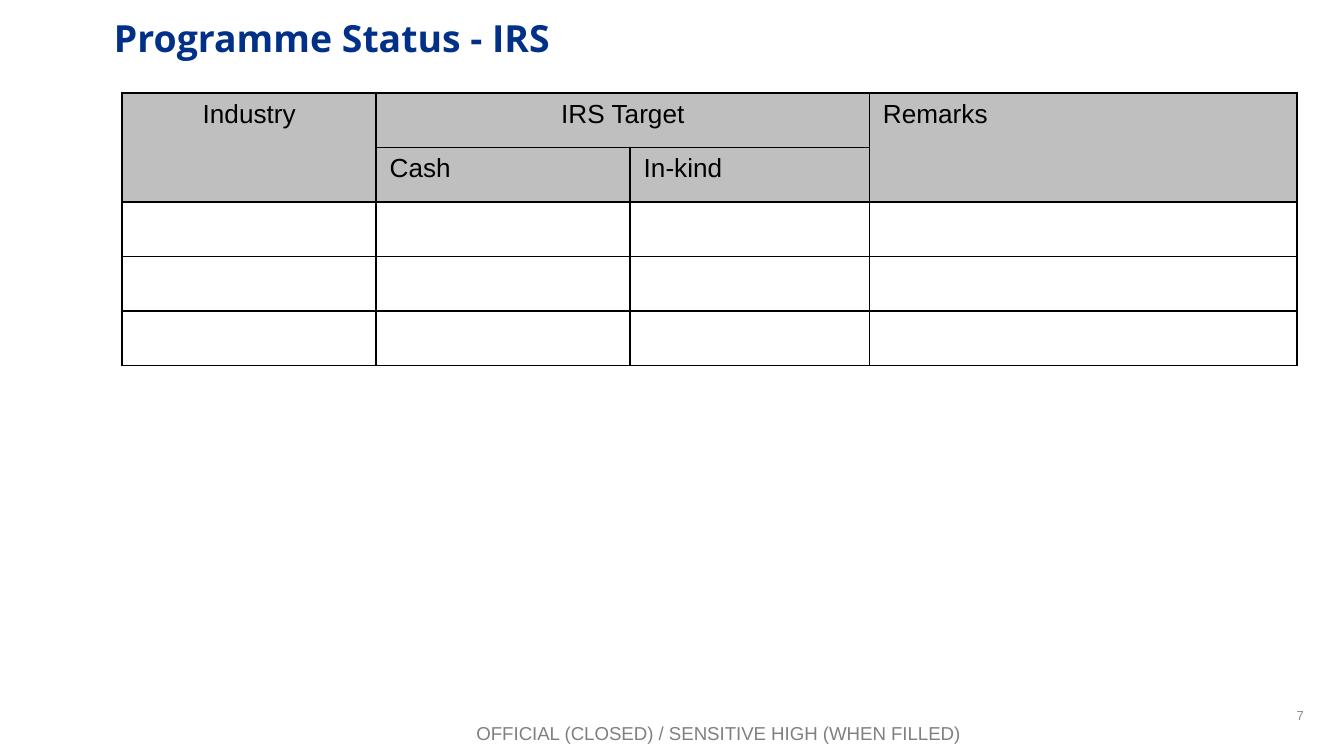
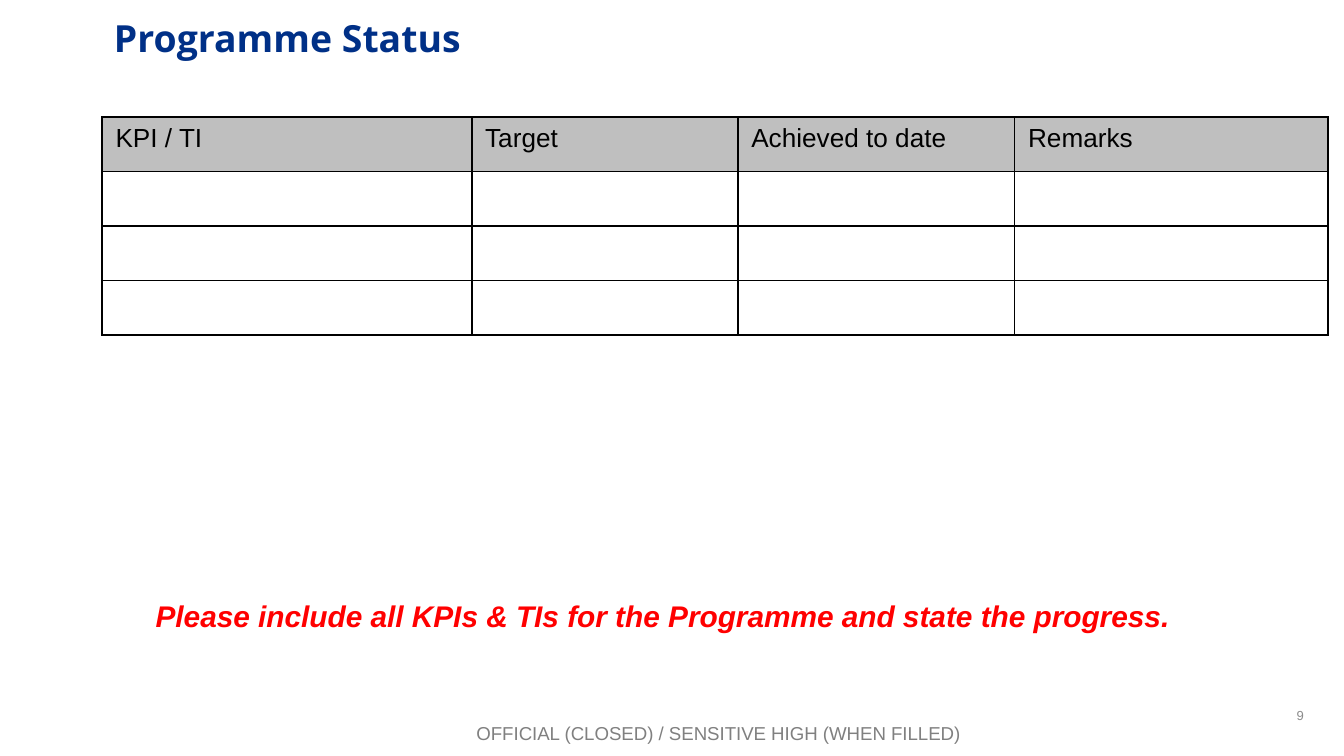
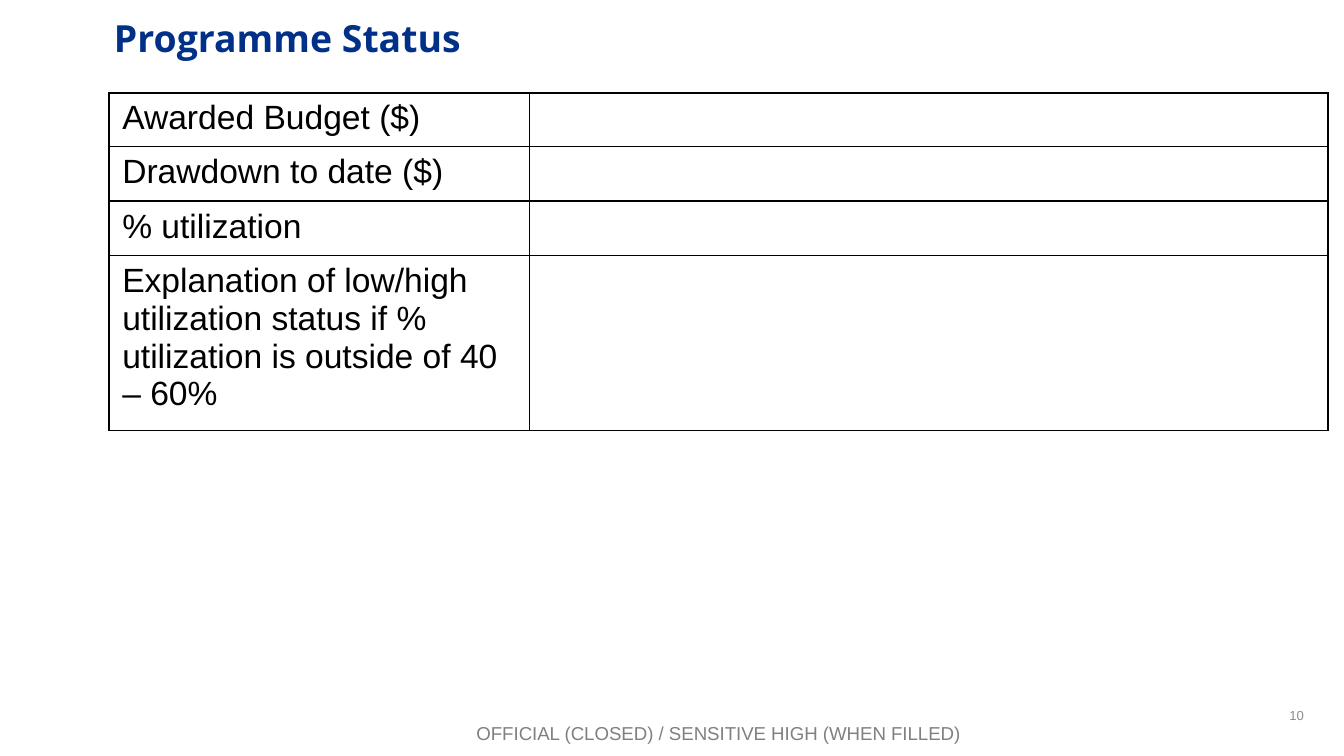
import pptx
import pptx.dml.color
import pptx.enum.text
import pptx.oxml
import pptx.oxml.ns
import pptx.util
from dataclasses import dataclass
from typing import Any, Optional

Inches = pptx.util.Inches
Pt = pptx.util.Pt
Align = pptx.enum.text.PP_ALIGN
Anchor = pptx.enum.text.MSO_ANCHOR
AutoSize = pptx.enum.text.MSO_AUTO_SIZE

# Shared look
COLOURS = {
    "title": "003087",
    "text": "000000",
    "border": "000000",
    "header": "BFBFBF",
    "number": "8C8C8C",
    "footer": "808080",
    "note": "FF0000",
}
FORMATS: dict[str, dict[str, Any]] = {
    "title": {"name": "Open Sans", "size": Pt(20), "bold": True},
    "number": {"name": "Arial", "size": Pt(7)},
    "footer": {"name": "Arial", "size": Pt(10)},
    "note": {"name": "Arial", "size": Pt(16), "bold": True, "italic": True},
    "header": {"name": "Arial", "size": Pt(14), "bold": False},
    "label": {"name": "Arial", "size": Pt(18), "bold": False},
}
FOOTER = "OFFICIAL (CLOSED) / SENSITIVE HIGH (WHEN FILLED)"
ROW = 2.03 / 5


@dataclass(frozen=True)
class TextSpec:
    style: str
    left: float
    top: float
    width: float
    height: float
    align: Align = Align.LEFT
    anchor: Anchor = Anchor.TOP
    grow: bool = False


@dataclass(frozen=True)
class TableSpec:
    left: float
    top: float
    height: float
    columns: tuple[float, ...]
    rows: tuple[float, ...]
    style: str
    labels: dict[tuple[int, int], str]
    header_rows: int = 0
    centred: tuple[str, ...] = ()
    merges: tuple[tuple[int, int, int, int], ...] = ()


@dataclass(frozen=True)
class PageSpec:
    number: int
    title: str
    table: TableSpec
    note: Optional[str] = None


NUMBER_BOX = TextSpec("number", 7.47, 5.17, 2.33, 0.3, Align.RIGHT, Anchor.MIDDLE)
FOOTER_BOX = TextSpec("footer", 0.68, 5.32, 9.33, 0.27, Align.CENTER, grow=True)
TITLE_BOX = TextSpec("title", 0.75, 0.06, 8.66, 0.79)
NOTE_BOX = TextSpec("note", 1.06, 4.4, 7.96, 0.37, grow=True)

# Slide content
PAGES = [
    PageSpec(7, "Programme Status - IRS", TableSpec(
        0.91, 0.69, 2.03, (1.89, 1.89, 1.78, 3.18), (ROW,) * 5, "header",
        {(0, 0): "Industry", (0, 1): "IRS Target", (0, 3): "Remarks",
         (1, 1): "Cash", (1, 2): "In-kind"},
        header_rows=2,
        centred=("Industry", "IRS Target"),
        merges=((0, 0, 1, 0), (0, 1, 0, 2), (0, 3, 1, 3)),
    )),
    PageSpec(9, "Programme Status", TableSpec(
        0.76, 0.87, 1.62, (2.75, 1.98, 2.06, 2.33), (ROW,) * 4, "header",
        {(0, 0): "KPI / TI", (0, 1): "Target",
         (0, 2): "Achieved to date", (0, 3): "Remarks"},
        header_rows=1,
    ), "Please include all KPIs & TIs for the Programme and state the progress."),
    PageSpec(10, "Programme Status", TableSpec(
        0.81, 0.69, 2.51, (3.13, 5.94), (0.37, ROW, ROW, ROW), "label",
        {(0, 0): "Awarded Budget ($)", (1, 0): "Drawdown to date ($)",
         (2, 0): "% utilization",
         (3, 0): "Explanation of low/high utilization status if % "
                 "utilization is outside of 40 – 60%"},
    )),
]


def rgb(name: str) -> pptx.dml.color.RGBColor:
    return pptx.dml.color.RGBColor.from_string(COLOURS[name])


def write(frame: Any, text: str, style: str, colour: str, align: Align) -> None:
    para = frame.paragraphs[0]
    para.alignment = align
    span = para.add_run()
    span.text = text
    for key, value in FORMATS[style].items():
        setattr(span.font, key, value)
    span.font.color.rgb = rgb(colour)


def add_text(page: Any, spec: TextSpec, text: str) -> None:
    box = page.shapes.add_textbox(
        Inches(spec.left), Inches(spec.top), Inches(spec.width), Inches(spec.height))
    frame = box.text_frame
    frame.word_wrap = True
    frame.vertical_anchor = spec.anchor
    frame.auto_size = AutoSize.SHAPE_TO_FIT_TEXT if spec.grow else AutoSize.NONE
    write(frame, text, spec.style, spec.style, spec.align)


def add_borders(cell: Any) -> None:
    """Border lines must come before the fill in the cell properties."""
    properties = cell._tc.get_or_add_tcPr()
    for index, side in enumerate(("lnL", "lnR", "lnT", "lnB")):
        properties.insert(index, pptx.oxml.parse_xml(
            f'<a:{side} {pptx.oxml.ns.nsdecls("a")} w="{Pt(1)}"><a:solidFill>'
            f'<a:srgbClr val="{COLOURS["border"]}"/></a:solidFill></a:{side}>'))


def set_empty_font(cell: Any, style: str) -> None:
    """The end mark sets the line height of a cell without text."""
    name, size = FORMATS[style]["name"], FORMATS[style]["size"]
    cell.text_frame.paragraphs[0]._p.append(pptx.oxml.parse_xml(
        f'<a:endParaRPr {pptx.oxml.ns.nsdecls("a")} sz="{int(size.pt * 100)}">'
        f'<a:latin typeface="{name}"/></a:endParaRPr>'))


def add_table(page: Any, spec: TableSpec) -> None:
    holder = page.shapes.add_table(
        len(spec.rows), len(spec.columns), Inches(spec.left), Inches(spec.top),
        Inches(sum(spec.columns)), Inches(spec.height))
    table = holder.table
    table.first_row = table.horz_banding = False
    for column, width in zip(table.columns, spec.columns):
        column.width = Inches(width)
    for row, height in zip(table.rows, spec.rows):
        row.height = Inches(height)
    holder.height = Inches(spec.height)

    for top, left, bottom, right in spec.merges:
        table.cell(top, left).merge(table.cell(bottom, right))
    for row_index in range(len(spec.rows)):
        for column_index in range(len(spec.columns)):
            cell = table.cell(row_index, column_index)
            if row_index < spec.header_rows:
                cell.fill.solid()
                cell.fill.fore_color.rgb = rgb("header")
            else:
                cell.fill.background()
            add_borders(cell)
            label = spec.labels.get((row_index, column_index))
            if label:
                align = Align.CENTER if label in spec.centred else Align.LEFT
                write(cell.text_frame, label, spec.style, "text", align)
            else:
                set_empty_font(cell, spec.style)


def add_page(deck: Any, spec: PageSpec) -> None:
    page = deck.slides.add_slide(deck.slide_layouts[6])
    add_text(page, NUMBER_BOX, str(spec.number))
    add_text(page, FOOTER_BOX, FOOTER)
    add_text(page, TITLE_BOX, spec.title)
    add_table(page, spec.table)
    if spec.note:
        add_text(page, NOTE_BOX, spec.note)


def main() -> None:
    deck = pptx.Presentation()
    deck.slide_width = Inches(10)
    deck.slide_height = Inches(10 * 9 / 16)
    for spec in PAGES:
        add_page(deck, spec)
    deck.save("out.pptx")


if __name__ == "__main__":
    main()
